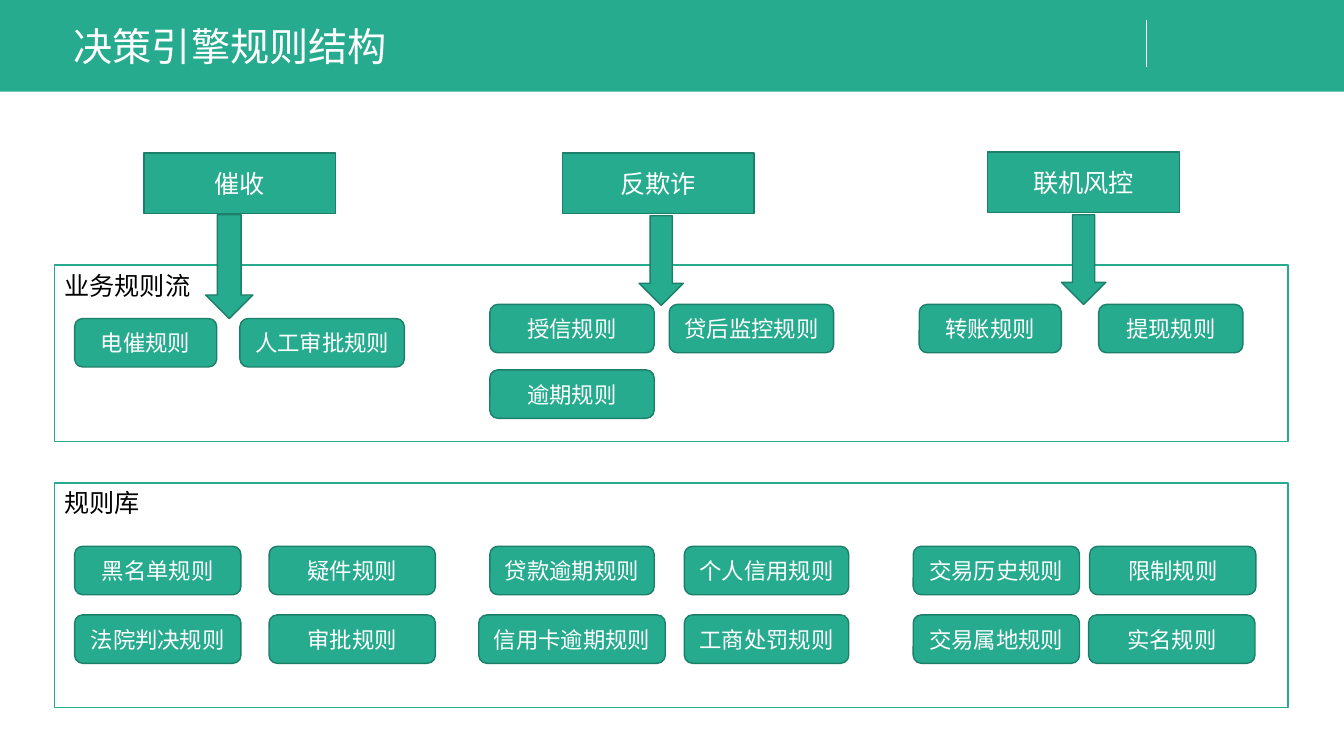
from dataclasses import dataclass

from lxml.etree import SubElement
from pptx import Presentation
from pptx.dml.color import RGBColor
from pptx.enum.lang import MSO_LANGUAGE_ID
from pptx.enum.shapes import MSO_CONNECTOR, MSO_SHAPE
from pptx.enum.text import MSO_ANCHOR, MSO_AUTO_SIZE, PP_ALIGN
from pptx.oxml.ns import qn
from pptx.shapes.autoshape import Shape
from pptx.slide import Slide
from pptx.text.text import TextFrame
from pptx.util import Pt


@dataclass(frozen=True)
class Theme:
    green: RGBColor = RGBColor(0x26, 0xAB, 0x8E)
    edge: RGBColor = RGBColor(0x1C, 0x7F, 0x69)
    white: RGBColor = RGBColor(0xFF, 0xFF, 0xFF)
    black: RGBColor = RGBColor(0, 0, 0)
    latin: str = "Arial"
    cjk: str = "Noto Sans CJK SC"
    title_size: float = 28
    heading_size: float = 18
    rule_size: float = 16


@dataclass(frozen=True)
class Box:
    text: str
    left: float
    top: float
    width: float
    height: float


@dataclass(frozen=True)
class Rule:
    text: str
    left: float
    width: float


@dataclass(frozen=True)
class RuleRow:
    top: float
    rules: tuple[Rule, ...]


THEME = Theme()
SLIDE_W, SLIDE_H = 960, 540
HEADER_H = 65.5
RULE_H = 34.6

PANELS = (
    Box("业务规则流", 38.9, 189.4, 881.3, 126),
    Box("规则库", 38.9, 344.9, 881.3, 160.6),
)
SCENARIOS = (
    Box("催收", 103, 109.4, 136.8, 43.2),
    Box("反欺诈", 401.8, 109.4, 136.8, 43.2),
    Box("联机风控", 705.6, 108.7, 136.8, 43.2),
)
ARROWS = (
    Box("", 146.9, 153.4, 33.8, 74.2),
    Box("", 456.5, 154.1, 31.7, 64.1),
    Box("", 758.2, 153.4, 31.7, 64.1),
)
RULE_ROWS = (
    RuleRow(217.4, (
        Rule("授信规则", 349.9, 117.4),
        Rule("贷后监控规则", 478.1, 117.4),
        Rule("转账规则", 656.6, 101.5),
        Rule("提现规则", 784.8, 103),
    )),
    RuleRow(227.5, (
        Rule("电催规则", 53.3, 101.5),
        Rule("人工审批规则", 171.4, 117.4),
    )),
    RuleRow(264.2, (Rule("逾期规则", 349.9, 117.4),)),
    RuleRow(390.2, (
        Rule("黑名单规则", 53.3, 118.8),
        Rule("疑件规则", 192.2, 118.8),
        Rule("贷款逾期规则", 349.9, 117.4),
        Rule("个人信用规则", 488.9, 117.4),
        Rule("交易历史规则", 652.3, 118.8),
        Rule("限制规则", 778.3, 118.8),
    )),
    RuleRow(439.2, (
        Rule("法院判决规则", 53.3, 118.8),
        Rule("审批规则", 192.2, 118.8),
        Rule("信用卡逾期规则", 342, 133.2),
        Rule("工商处罚规则", 488.9, 117.4),
        Rule("交易属地规则", 652.3, 118.8),
        Rule("实名规则", 777.6, 118.8),
    )),
)


def write(tf: TextFrame, text: str, size: float, color: RGBColor, font: str,
          align: PP_ALIGN, anchor: MSO_ANCHOR) -> None:
    tf.text = text
    tf.word_wrap = True
    tf.auto_size = MSO_AUTO_SIZE.NONE
    tf.vertical_anchor = anchor
    p = tf.paragraphs[0]
    p.alignment = align
    r = p.runs[0]
    r.font.name = font
    r.font.size = Pt(size)
    r.font.color.rgb = color
    r.font.language_id = MSO_LANGUAGE_ID.SIMPLIFIED_CHINESE
    SubElement(r.font._element, qn("a:ea")).set("typeface", THEME.cjk)


def add_box(s: Slide, kind: MSO_SHAPE, box: Box, fill: RGBColor,
            line: RGBColor | None) -> Shape:
    sp = s.shapes.add_shape(kind, Pt(box.left), Pt(box.top), Pt(box.width), Pt(box.height))
    sp.shadow.inherit = False
    sp.fill.solid()
    sp.fill.fore_color.rgb = fill
    if line is None:
        sp.line.fill.background()
    else:
        sp.line.color.rgb = line
        sp.line.width = Pt(1)
    return sp


def add_panel(s: Slide, box: Box) -> None:
    sp = add_box(s, MSO_SHAPE.RECTANGLE, box, THEME.white, THEME.green)
    write(sp.text_frame, box.text, THEME.heading_size, THEME.black, THEME.latin,
          PP_ALIGN.LEFT, MSO_ANCHOR.TOP)


def add_label(s: Slide, kind: MSO_SHAPE, box: Box, size: float) -> None:
    sp = add_box(s, kind, box, THEME.green, THEME.edge)
    write(sp.text_frame, box.text, size, THEME.white, THEME.latin,
          PP_ALIGN.CENTER, MSO_ANCHOR.MIDDLE)


def add_header(s: Slide, text: str) -> None:
    add_box(s, MSO_SHAPE.RECTANGLE, Box("", 0, 0, SLIDE_W, HEADER_H), THEME.green, None)
    divider = s.shapes.add_connector(MSO_CONNECTOR.STRAIGHT,
                                     Pt(818.6), Pt(14.4), Pt(818.6), Pt(48.2))
    divider.line.color.rgb = THEME.white
    divider.line.width = Pt(0.5)
    SubElement(divider.element.spPr, qn("a:effectLst"))

    title = s.shapes.title
    title.left, title.top, title.width, title.height = Pt(45.4), Pt(7.2), Pt(689), Pt(51.1)
    write(title.text_frame, text, THEME.title_size, THEME.white, THEME.cjk,
          PP_ALIGN.LEFT, MSO_ANCHOR.MIDDLE)
    title.element.getparent().append(title.element)


def main() -> None:
    prs = Presentation()
    prs.slide_width, prs.slide_height = Pt(SLIDE_W), Pt(SLIDE_H)
    s = prs.slides.add_slide(prs.slide_layouts[5])
    add_header(s, "决策引擎规则结构")
    for panel in PANELS:
        add_panel(s, panel)
    for scenario in SCENARIOS:
        add_label(s, MSO_SHAPE.RECTANGLE, scenario, THEME.heading_size)
    for row in RULE_ROWS:
        for rule in row.rules:
            box = Box(rule.text, rule.left, row.top, rule.width, RULE_H)
            add_label(s, MSO_SHAPE.ROUNDED_RECTANGLE, box, THEME.rule_size)
    for arrow in ARROWS:
        add_box(s, MSO_SHAPE.DOWN_ARROW, arrow, THEME.green, THEME.edge)
    prs.save("out.pptx")


if __name__ == "__main__":
    main()
